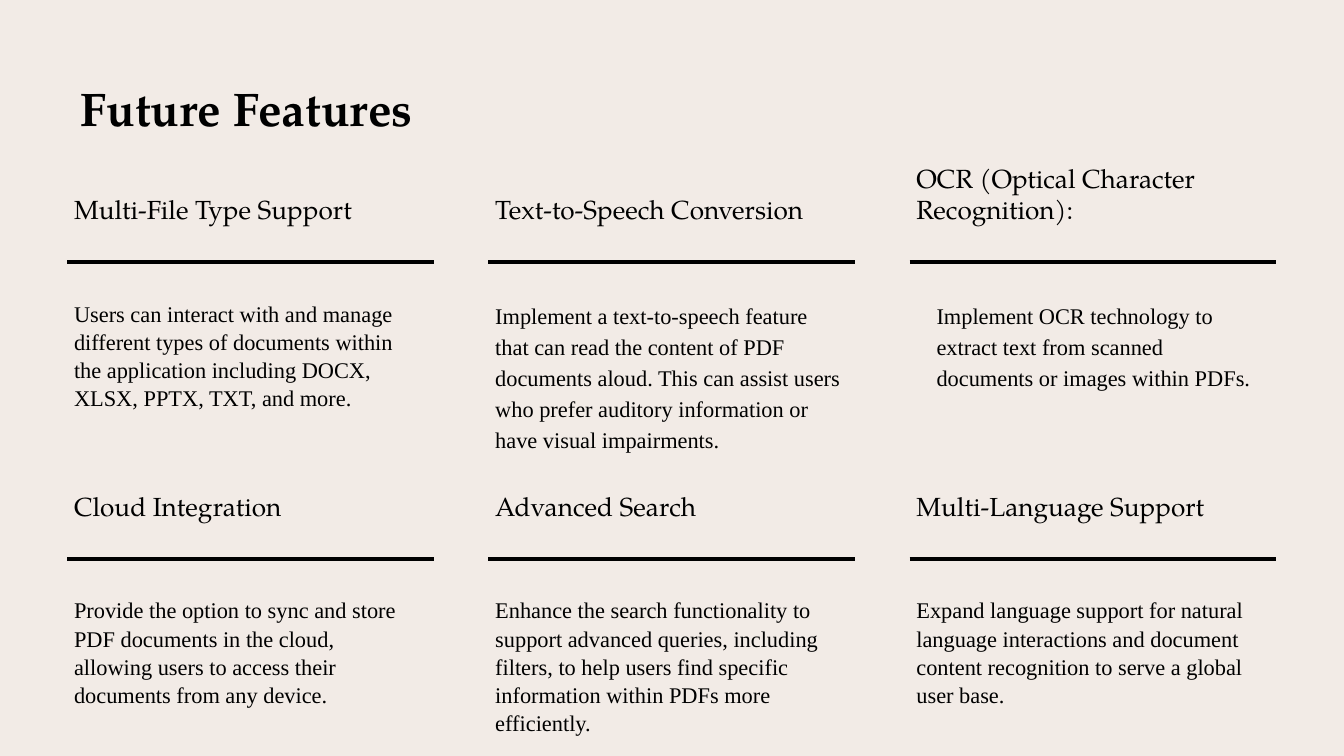
from lxml.etree import SubElement
from pptx import Presentation
from pptx.dml.color import RGBColor
from pptx.enum.shapes import MSO_CONNECTOR
from pptx.enum.text import MSO_ANCHOR
from pptx.oxml.ns import qn
from pptx.util import Cm, Pt

COLORS = {"background": "F2EBE6", "ink": "000000"}
SERIF, BODY = "TeX Gyre Pagella", "Times New Roman"

LEFT, COL_W, COL_STEP = 1.27, 6.93, 7.96
HEAD_TOP, RULE_TOP, BODY_TOP, ROW_STEP = 2.62, 4.95, 5.13, 5.61

TITLE = {
    "font": {"name": SERIF, "size": Pt(25.2), "bold": True},
    "frame": {"vertical_anchor": MSO_ANCHOR.MIDDLE},
    "margins": (0.25, 0.25, 0.25, 0.25),
    "paragraph": {},
}
HEADING = {
    "font": {"name": SERIF, "size": Pt(14)},
    "frame": {"vertical_anchor": MSO_ANCHOR.BOTTOM},
    "margins": (0.13, 0, 0.38, 0.38),
    "paragraph": {},
}
TEXT = {
    "font": {"name": BODY, "size": Pt(12)},
    "frame": {"vertical_anchor": MSO_ANCHOR.TOP},
    "margins": (0.13, 0.51, 0.38, 0.25),
    "paragraph": {"line_spacing": 1.05, "space_after": Pt(10)},
}
LOOSE = {
    **TEXT,
    "margins": (0.13, 0.51, 0.25, 0.25),
    "paragraph": {"line_spacing": 1.15, "space_after": Pt(10)},
}
INDENTED = {**LOOSE, "paragraph": {"line_spacing": 1.15}, "indent": 0.38}

FEATURES = [
    [
        ("Multi-File Type Support",
         "Users can interact with and manage different types of documents within "
         "the application including DOCX, XLSX, PPTX, TXT, and more.", 3.84, TEXT),
        ("Text-to-Speech Conversion",
         "Implement a text-to-speech feature that can read the content of PDF "
         "documents aloud. This can assist users who prefer auditory information "
         "or have visual impairments.", 4.11, LOOSE),
        ("OCR (Optical Character Recognition):",
         "Implement OCR technology to extract text from scanned documents or "
         "images within PDFs.", 2.64, INDENTED),
    ],
    [
        ("Cloud Integration",
         "Provide the option to sync and store PDF documents in the cloud, "
         "allowing users to access their documents from any device.", 2.92, TEXT),
        ("Advanced Search",
         "Enhance the search functionality to support advanced queries, including "
         "filters, to help users find specific information within PDFs more "
         "efficiently.", 3.56, TEXT),
        ("Multi-Language Support",
         "Expand language support for natural language interactions and document "
         "content recognition to serve a global user base.", 2.01, TEXT),
    ],
]


class Deck:
    """Holds the palette and the current slide, and draws each kind of element."""

    def __init__(self, prs, colors):
        self.colors = {k: RGBColor.from_string(v) for k, v in colors.items()}
        self.s = prs.slides.add_slide(prs.slide_layouts[6])
        fill = self.s.background.fill
        fill.solid()
        fill.fore_color.rgb = self.colors["background"]

    def text(self, text, x, y, w, h, style):
        tf = self.s.shapes.add_textbox(Cm(x), Cm(y), Cm(w), Cm(h)).text_frame
        sides = ("margin_left", "margin_top", "margin_right", "margin_bottom")
        margins = {k: Cm(v) for k, v in zip(sides, style["margins"])}
        p = tf.paragraphs[0]
        if "indent" in style:
            pPr = p._p.get_or_add_pPr()
            pPr.set("marL", str(Cm(style["indent"])))
            pPr.set("indent", "0")
        r = p.add_run()
        r.text = text
        r.font.color.rgb = self.colors["ink"]
        for target, values in (
            (tf, {"word_wrap": True, **style["frame"], **margins}),
            (p, style["paragraph"]),
            (r.font, style["font"]),
        ):
            for key, value in values.items():
                setattr(target, key, value)

    def rule(self, x, y, w):
        sp = self.s.shapes.add_connector(
            MSO_CONNECTOR.STRAIGHT, Cm(x), Cm(y), Cm(x + w), Cm(y))
        sp.line.color.rgb = self.colors["ink"]
        sp.line.width = Pt(2.25)
        SubElement(sp._element.spPr, qn("a:effectLst"))

    def feature(self, x, dy, heading, body, body_h, style):
        self.text(heading, x, HEAD_TOP + dy, COL_W, 2.01, HEADING)
        self.rule(x, RULE_TOP + dy, COL_W)
        self.text(body, x, BODY_TOP + dy, COL_W, body_h, style)


def main():
    prs = Presentation()
    prs.slide_width, prs.slide_height = Cm(25.4), Cm(14.29)
    deck = Deck(prs, COLORS)
    deck.text("Future Features", LEFT, 1.24, 22.86, 1.6, TITLE)
    for row, features in enumerate(FEATURES):
        for col, feature in enumerate(features):
            deck.feature(LEFT + col * COL_STEP, row * ROW_STEP, *feature)
    prs.save("out.pptx")


if __name__ == "__main__":
    main()
